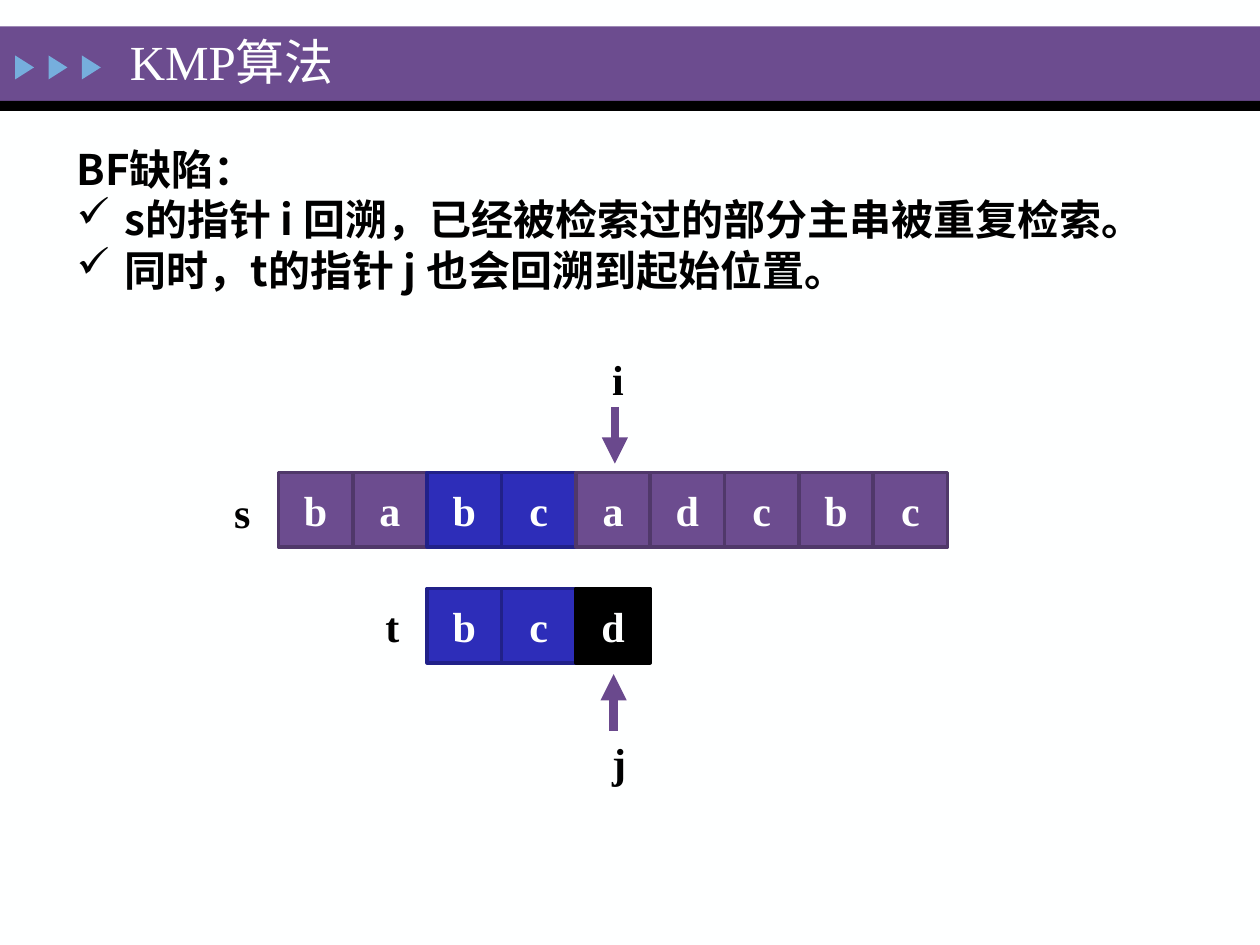
from lxml import etree
from pptx import Presentation
from pptx import util as u
from pptx.dml.color import RGBColor
from pptx.enum import shapes, text
from pptx.oxml.ns import qn

LATIN = "Times New Roman"
CJK = "Noto Sans CJK SC"
WHITE, BLACK = "FEFFFF", "000000"
PURPLE, PURPLE_EDGE = "6C4C8F", "50386A"
BLUE, BLUE_EDGE = "2D2DB9", "212189"
CELL_SIZE, CELL_PITCH, ROW_LEFT = 0.59, 0.59, 2.21


def color(hex_value):
    return RGBColor.from_string(hex_value)


def place(shape, left, top, width, height):
    shape.left, shape.top = u.Inches(left), u.Inches(top)
    shape.width, shape.height = u.Inches(width), u.Inches(height)


def add_run(paragraph, content, font_name, size, hex_value, bold=True):
    run = paragraph.add_run()
    run.text = content
    run.font.name = font_name
    run.font.size = u.Pt(size)
    run.font.bold = bold
    run.font.color.rgb = color(hex_value)
    east_asian = etree.SubElement(run._r.get_or_add_rPr(), qn("a:ea"))
    east_asian.set("typeface", CJK)


def add_block(slide, kind, left, top, width, height, fill, edge=None):
    shape = slide.shapes.add_shape(
        kind, u.Inches(left), u.Inches(top), u.Inches(width), u.Inches(height))
    shape.shadow.inherit = False
    shape.fill.solid()
    shape.fill.fore_color.rgb = color(fill)
    if edge:
        shape.line.color.rgb = color(edge)
        shape.line.width = u.Pt(2)
    else:
        shape.line.fill.background()
    return shape


def add_header(slide):
    rectangle = shapes.MSO_SHAPE.RECTANGLE
    add_block(slide, rectangle, 0, 0.21, 10, 0.59, PURPLE)
    add_block(slide, rectangle, 0, 0.8, 10, 0.08, BLACK)
    for index in range(3):
        triangle = add_block(slide, shapes.MSO_SHAPE.ISOSCELES_TRIANGLE,
                             0.1 + index * 0.265, 0.46, 0.19, 0.15, "76AEDD")
        triangle.rotation = 90


def add_title(slide, content):
    title = slide.shapes.title
    place(title, 0.93, 0.2, 7.01, 0.56)
    frame = title.text_frame
    frame.vertical_anchor = text.MSO_ANCHOR.MIDDLE
    frame.auto_size = text.MSO_AUTO_SIZE.NONE
    paragraph = frame.paragraphs[0]
    paragraph.alignment = text.PP_ALIGN.LEFT
    add_run(paragraph, content, LATIN, 28, WHITE, bold=False)
    slide.shapes._spTree.append(title._element)


def add_check_bullet(paragraph):
    properties = paragraph._p.get_or_add_pPr()
    indent = u.Inches(0.38)
    properties.set("marL", str(indent))
    properties.set("indent", str(-indent))
    etree.SubElement(properties, qn("a:buChar")).set("char", "✓")


def add_text_box(slide, left, top, width, height, wrap):
    box = slide.shapes.add_textbox(
        u.Inches(left), u.Inches(top), u.Inches(width), u.Inches(height))
    box.text_frame.word_wrap = wrap
    box.text_frame.auto_size = text.MSO_AUTO_SIZE.SHAPE_TO_FIT_TEXT
    return box.text_frame


def add_drawbacks(slide, heading, points):
    frame = add_text_box(slide, 0.51, 1.09, 8.98, 1.31, wrap=True)
    add_run(frame.paragraphs[0], heading, CJK, 24, BLACK)
    for point in points:
        paragraph = frame.add_paragraph()
        add_check_bullet(paragraph)
        add_run(paragraph, point, CJK, 24, BLACK)


def add_label(slide, content, left, top, width):
    frame = add_text_box(slide, left, top, width, 0.5, wrap=False)
    add_run(frame.paragraphs[0], content, LATIN, 24, BLACK)


def add_string_row(slide, letters, first_column, top, highlights):
    for column, letter in enumerate(letters, first_column):
        fill, edge = highlights.get(column, (PURPLE, PURPLE_EDGE))
        cell = add_block(slide, shapes.MSO_SHAPE.RECTANGLE,
                         ROW_LEFT + column * CELL_PITCH, top,
                         CELL_SIZE, CELL_SIZE, fill, edge)
        cell.text_frame.vertical_anchor = text.MSO_ANCHOR.MIDDLE
        paragraph = cell.text_frame.paragraphs[0]
        paragraph.alignment = text.PP_ALIGN.CENTER
        add_run(paragraph, letter, LATIN, 24, WHITE)


def add_pointer(slide, x, start, end):
    arrow = slide.shapes.add_connector(
        shapes.MSO_CONNECTOR.STRAIGHT,
        u.Inches(x), u.Inches(start), u.Inches(x), u.Inches(end))
    arrow.line.color.rgb = color("6A498D")
    arrow.line.width = u.Pt(5)
    etree.SubElement(arrow.line._get_or_add_ln(), qn("a:tailEnd")).set("type", "triangle")
    etree.SubElement(arrow._element.spPr, qn("a:effectLst"))


def main():
    presentation = Presentation()
    presentation.slide_width = u.Inches(10)
    presentation.slide_height = u.Inches(7.5)
    slide = presentation.slides.add_slide(presentation.slide_layouts[5])
    slide.background.fill.solid()
    slide.background.fill.fore_color.rgb = color(WHITE)

    add_header(slide)
    add_title(slide, "KMP算法")
    add_drawbacks(slide, "BF缺陷：", [
        "s的指针 i 回溯，已经被检索过的部分主串被重复检索。",
        "同时，t的指针 j 也会回溯到起始位置。",
    ])

    matched = {2: (BLUE, BLUE_EDGE), 3: (BLUE, BLUE_EDGE)}
    add_string_row(slide, "babcadcbc", 0, 3.75, matched)
    add_string_row(slide, "bcd", 2, 4.67, {**matched, 4: (BLACK, BLACK)})
    add_pointer(slide, 4.88, 3.23, 3.68)
    add_pointer(slide, 4.87, 5.8, 5.35)
    add_label(slide, "i", 4.76, 2.76, 0.3)
    add_label(slide, "j", 4.76, 5.8, 0.3)
    add_label(slide, "s", 1.76, 3.81, 0.32)
    add_label(slide, "t", 2.96, 4.72, 0.31)
    presentation.save("out.pptx")


if __name__ == "__main__":
    main()
